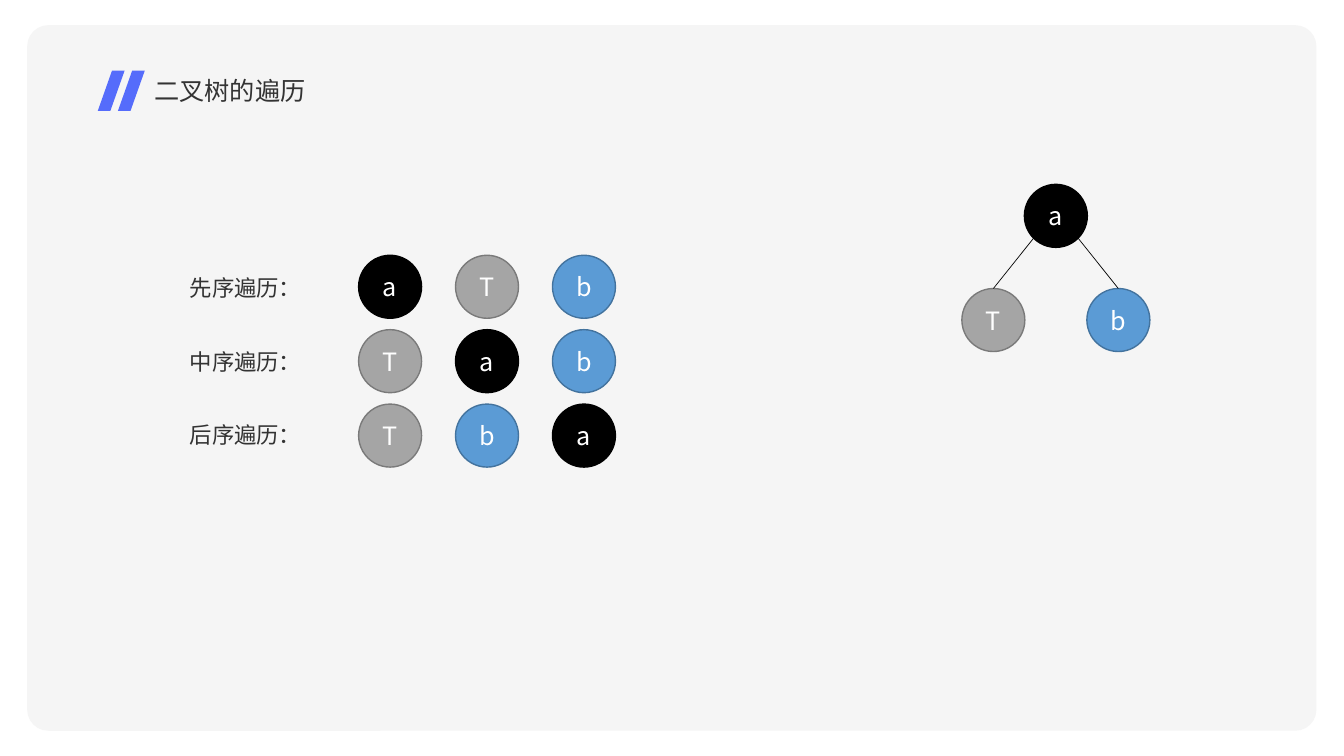
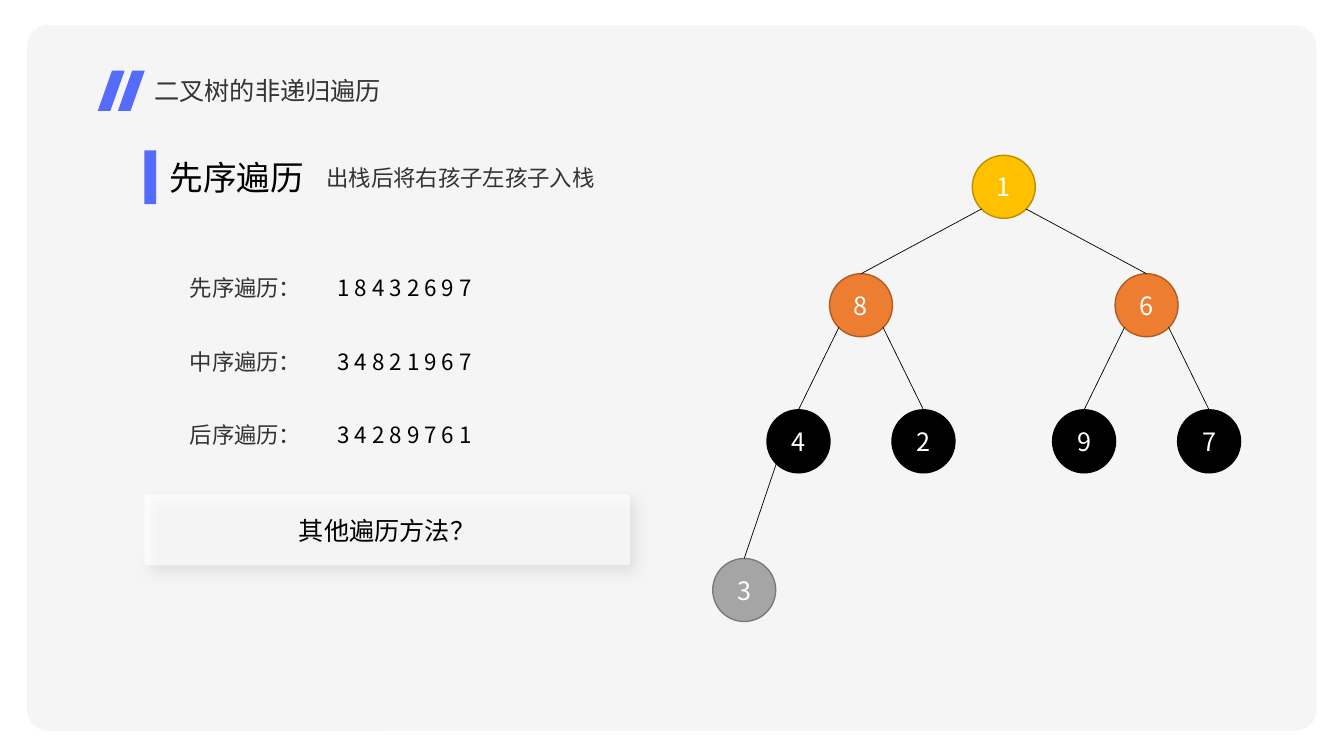
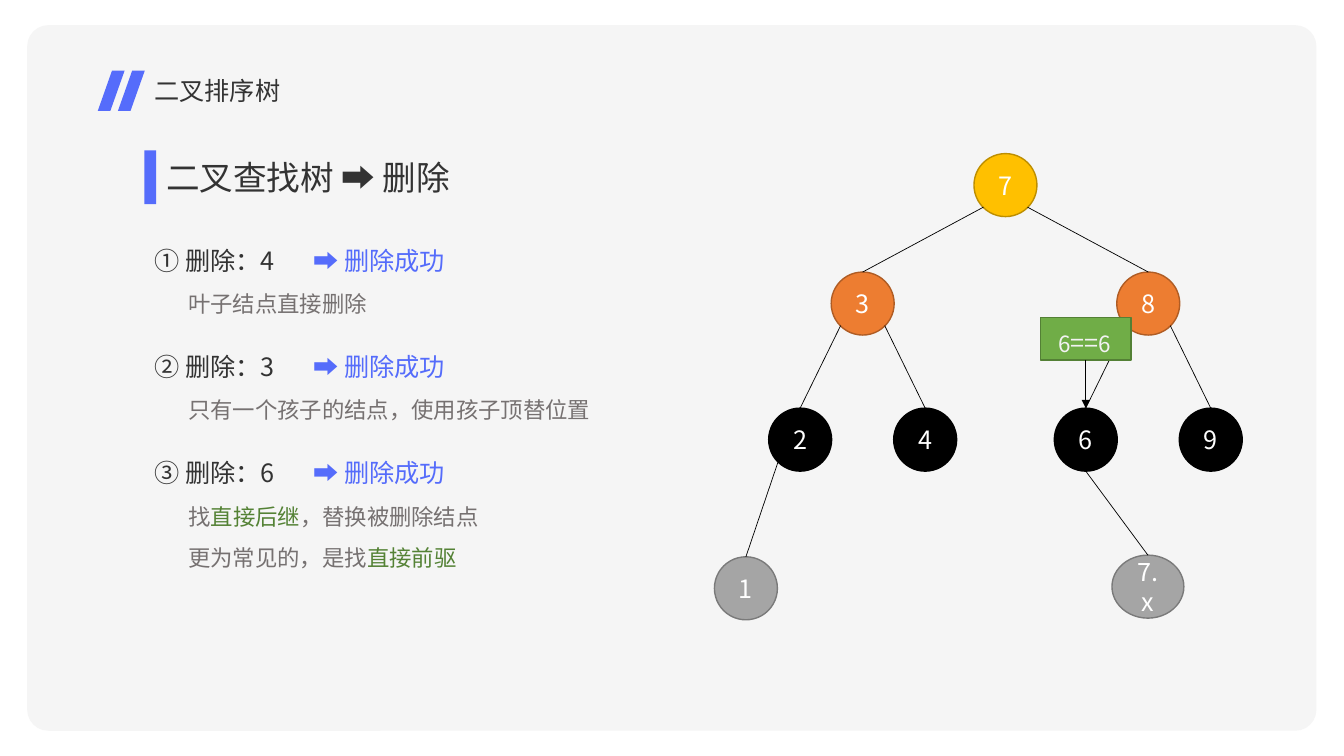
from lxml import etree
from pptx import Presentation, util as u
from pptx.dml.color import RGBColor
from pptx.enum import shapes, text
from pptx.oxml.ns import qn

FONT = "Noto Sans CJK SC"
INK, BLACK, WHITE, BLUE = "333333", "000000", "FFFFFF", "556CFB"
MUTED, GREEN, PALE = "767171", "548235", "F2F2F2"
GOLD, ORANGE, GREY, SKY, LEAF = "FFC000", "ED7D31", "A5A5A5", "5B9BD5", "70AD47"
OUTLINE = {GOLD: "BD8E00", ORANGE: "AF5C24", GREY: "7A7A7A",
           SKY: "43739E", LEAF: "538035", BLACK: BLACK}
LEVEL_COLOURS = [GOLD, ORANGE, BLACK, GREY]
LEVEL_STEPS = [(8.5, 7.05), (3.72, 8.1), (3.23, 8.85)]
COLUMNS, ROWS = 80, 45
NODE = 3.75
ORDERS = ["先序遍历：", "中序遍历：", "后序遍历："]
ORDER_TOP, ORDER_GAP = 16, 4.4
LEFT, CENTER = text.PP_ALIGN.LEFT, text.PP_ALIGN.CENTER
SHAPE = shapes.MSO_SHAPE


def rgb(colour):
    return RGBColor.from_string(colour)


class Sketch:
    """Draw the lecture's elements on a grid of 80 columns by 45 rows."""

    def __init__(self):
        self.deck = Presentation()
        self.deck.slide_width = u.Inches(13.333)
        self.deck.slide_height = u.Inches(7.5)
        self.slide = None

    def x(self, columns):
        return round(columns * self.deck.slide_width / COLUMNS)

    def y(self, rows):
        return round(rows * self.deck.slide_height / ROWS)

    def place(self, left, top, width, height):
        return self.x(left), self.y(top), self.x(width), self.y(height)

    def new_slide(self, title, width=22.9):
        self.slide = self.deck.slides.add_slide(self.deck.slide_layouts[6])
        self.shape(SHAPE.ROUNDED_RECTANGLE, (1.62, 1.5, 76.74, 42), PALE, opacity=75)
        for left in (5.82, 7.02):
            self.slash(left, 4.2)
        self.words(title, 8.6, 4.2, width, 18)

    def shape(self, kind, area, fill, opacity=100, outlined=False):
        box = self.slide.shapes.add_shape(kind, *self.place(*area))
        if kind == SHAPE.ROUNDED_RECTANGLE:
            box.adjustments[0] = 0.03
        self.paint(box, fill, outlined)
        if opacity < 100:
            tint = box._element.spPr.find(qn("a:solidFill")).find(qn("a:srgbClr"))
            etree.SubElement(tint, qn("a:alpha"), val=str(opacity * 1000))
        return box

    def paint(self, box, fill, outlined=False):
        box.shadow.inherit = False
        box.fill.solid()
        box.fill.fore_color.rgb = rgb(fill)
        if outlined:
            box.line.color.rgb = rgb(OUTLINE[fill])
            box.line.width = u.Pt(1)
        else:
            box.line.fill.background()

    def slash(self, left, top):
        outline = [(0.85, 0), (1.6, 0), (0.75, 2.4), (0, 2.4)]
        points = [(self.x(left + dx), self.y(top + dy)) for dx, dy in outline]
        builder = self.slide.shapes.build_freeform(*points[0])
        builder.add_line_segments(points[1:])
        self.paint(builder.convert_to_shape(), BLUE)

    def cast_shadow(self, box, colour, opacity, angle):
        effects = box._element.spPr.find(qn("a:effectLst"))
        shadow = etree.SubElement(
            effects, qn("a:outerShdw"), blurRad=str(u.Pt(10)), dist=str(u.Pt(5)),
            dir=str(angle * 60000), algn="ctr", rotWithShape="0")
        tint = etree.SubElement(shadow, qn("a:srgbClr"), val=colour)
        etree.SubElement(tint, qn("a:alpha"), val=str(opacity * 1000))

    def style(self, span, size, colour):
        span.font.size = u.Pt(size)
        span.font.color.rgb = rgb(colour)
        span.font.name = FONT
        etree.SubElement(span._r.get_or_add_rPr(), qn("a:ea"), typeface=FONT)

    def label(self, box, words, size, colour):
        frame = box.text_frame
        frame.word_wrap = True
        frame.vertical_anchor = text.MSO_ANCHOR.MIDDLE
        frame.text = words
        para = frame.paragraphs[0]
        para.alignment = CENTER
        self.style(para.runs[0], size, colour)

    def words(self, words, left, top, width, size=16, colour=INK, align=LEFT):
        self.spans([(words, size, colour)], left, top, width, align)

    def spans(self, spans, left, top, width, align=LEFT):
        height = max(size for _, size, _ in spans) * 0.1 + 0.6
        box = self.slide.shapes.add_textbox(*self.place(left, top, width, height))
        frame = box.text_frame
        frame.word_wrap = True
        frame.auto_size = text.MSO_AUTO_SIZE.SHAPE_TO_FIT_TEXT
        para = frame.paragraphs[0]
        para.alignment = align
        for words, size, colour in spans:
            span = para.add_run()
            span.text = words
            self.style(span, size, colour)

    def heading(self, words, width, colour, align=LEFT):
        self.shape(SHAPE.RECTANGLE, (8.6, 8.95, 0.7, 3.2), BLUE)
        self.words(words, 9.3, 9.05, width, 24, colour, align)

    def order_labels(self):
        for row, words in enumerate(ORDERS):
            self.words(words, 10.7, ORDER_TOP + row * ORDER_GAP, 7.95)

    def node(self, words, x, y, fill, width=NODE):
        area = (x - width / 2, y - NODE / 2, width, NODE)
        box = self.shape(SHAPE.OVAL, area, fill, outlined=True)
        self.label(box, words, 18, WHITE)
        return box

    def connector(self, start, end):
        line = self.slide.shapes.add_connector(shapes.MSO_CONNECTOR.STRAIGHT, *start, *end)
        line.line.color.rgb = rgb(BLACK)
        line.line.width = u.Pt(0.5)
        etree.SubElement(line._element.spPr, qn("a:effectLst"))
        return line

    def link(self, parent, child, side=0):
        depth = 0.85 if side else 1
        start = (round(parent.left + parent.width * (0.5 + 0.35 * side)),
                 round(parent.top + parent.height * depth))
        line = self.connector(start, (child.left, child.top))
        line.end_connect(child, 0)

    def arrow(self, upper, lower):
        line = self.connector((0, 0), (0, 0))
        line.begin_connect(upper, 2)
        line.end_connect(lower, 0)
        outline = line._element.spPr.find(qn("a:ln"))
        etree.SubElement(outline, qn("a:tailEnd"), type="triangle")

    def tree(self, x, y, labels, steps=LEVEL_STEPS, colours=None):
        """Place each label by its route of L and R turns from the root."""
        places, nodes = {}, {}
        for route, words in labels.items():
            depth = len(route)
            if route:
                parent = route[:-1]
                side = -1 if route[-1] == "L" else 1
                step, drop = steps[depth - 1]
                x, y = places[parent][0] + side * step, places[parent][1] + drop
            places[route] = x, y
            fill = colours[words] if colours else LEVEL_COLOURS[depth]
            nodes[route] = self.node(words, x, y, fill)
            if route:
                self.link(nodes[parent], nodes[route], side)
        return nodes


def traversal(sketch):
    sketch.new_slide("二叉树的遍历", 10.7)
    sketch.order_labels()
    colours = {"a": BLACK, "T": GREY, "b": SKY}
    for row, order in enumerate(["aTb", "Tab", "Tba"]):
        for column, words in enumerate(order):
            sketch.node(words, 23.22 + column * 5.77, 17.07 + row * 4.43, colours[words])
    sketch.tree(62.85, 12.85, {"": "a", "L": "T", "R": "b"}, [(3.72, 6.2)], colours)


def iterative_traversal(sketch):
    sketch.new_slide("二叉树的非递归遍历")
    sketch.tree(59.75, 11.12, {"": "1", "L": "8", "R": "6", "LL": "4", "LR": "2",
                               "RL": "9", "RR": "7", "LLL": "3"})
    sketch.order_labels()
    for row, digits in enumerate(["18432697", "34821967", "34289761"]):
        top = ORDER_TOP + row * ORDER_GAP
        sketch.words(" ".join(digits), 19.5, top, 11.1, colour=BLACK)
    for colour, opacity, angle in ((WHITE, 80, 225), ("D4D4D4", 100, 45)):
        area = (8.6, 29.45, 28.9, 4.2)
        question = sketch.shape(SHAPE.ROUNDED_RECTANGLE, area, WHITE, opacity=65)
        sketch.cast_shadow(question, colour, opacity, angle)
    sketch.label(question, "其他遍历方法？", 18, BLACK)
    sketch.words("出栈后将右孩子左孩子入栈", 18.85, 9.5, 17.5)
    sketch.heading("先序遍历", 9.6, BLACK, CENTER)


def search_tree(sketch):
    sketch.new_slide("二叉排序树")
    nodes = sketch.tree(59.85, 11.02, {"": "7", "L": "3", "R": "8", "LL": "2", "LR": "4",
                                       "RL": "6", "RR": "9", "LLL": "1"})
    successor = sketch.node("7.x", 68.33, 34.92, GREY, 4.28)
    sketch.link(nodes["RL"], successor)
    check = sketch.shape(SHAPE.RECTANGLE, (61.93, 18.9, 5.4, 2.52), LEAF, outlined=True)
    sketch.arrow(check, nodes["RL"])
    sketch.spans([("6", 16, PALE), ("==", 18, PALE), ("6", 16, PALE)],
                 61.6, 19.2, 5.94, CENTER)
    sketch.heading("二叉查找树 ➡ 删除", 24.4, INK)
    steps = [
        ("① 删除：4", [[("叶子结点直接删除", MUTED)]]),
        ("② 删除：3", [[("只有一个孩子的结点，使用孩子顶替位置", MUTED)]]),
        ("③ 删除：6", [[("找", MUTED), ("直接后继", GREEN), ("，替换被删除结点", MUTED)],
                    [("更为常见的，是找", MUTED), ("直接前驱", GREEN)]]),
    ]
    for row, (step, notes) in enumerate(steps):
        top = 14.28 + row * 6.33
        sketch.words(step, 8.6, top, 9.5, 18)
        sketch.words("➡ 删除成功", 18.05, top, 12.05, 18, BLUE)
        for line, note in enumerate(notes):
            spans = [(words, 16, colour) for words, colour in note]
            sketch.spans(spans, 10.62, top + 2.7 + line * 2.45, 25.6)


def main():
    sketch = Sketch()
    for build in (traversal, iterative_traversal, search_tree):
        build(sketch)
    sketch.deck.save("out.pptx")


if __name__ == "__main__":
    main()
